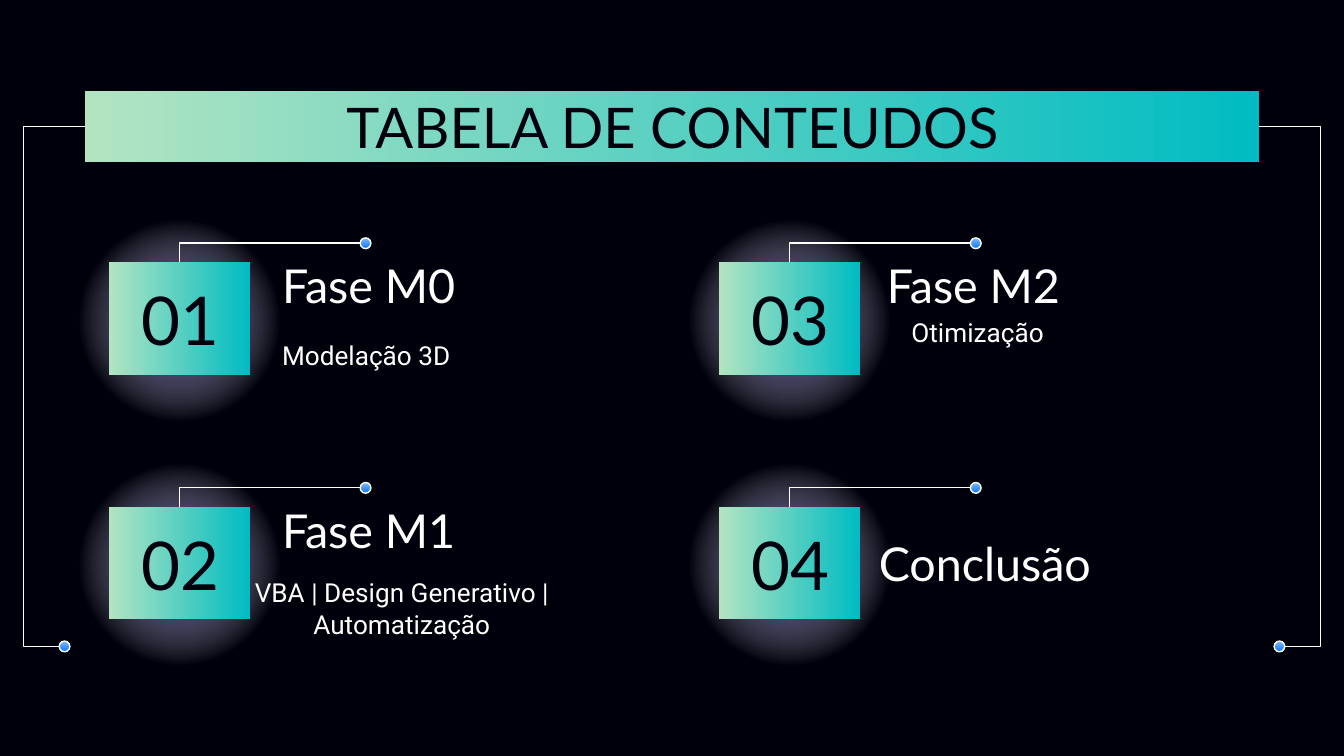
from pptx import Presentation
from pptx.dml.color import RGBColor
from pptx.enum.shapes import MSO_CONNECTOR as Connector, MSO_SHAPE as Shape
from pptx.enum.text import MSO_ANCHOR as Anchor, PP_ALIGN as Align
from pptx.oxml import parse_xml
from pptx.oxml.ns import nsdecls, qn
from pptx.util import Inches, Pt

WIDTH = 10
HEIGHT = WIDTH * 9 / 16
COLORS = {
    "night": "00000D", "white": "FFFFFF", "glow": "170F8D",
    "teal": "00BCC2", "mint": "B2E4C2", "sky": "82BCFE", "blue": "0C77F1",
}
HEADING, BODY = "Lato", "Roboto"

# Grid of numbered tiles: first corner, step and tile size
LEFT, TOP = 0.81, 1.95
COLUMN, ROW = 4.54, 1.82
TILE_W, TILE_H = 1.05, 0.84
DOT = 0.08

# Number, column, row, heading and its offset from the tile
TOPICS = [
    ("01", 0, 0, "Fase M0", (1.19, -0.12)),
    ("02", 0, 1, "Fase M1", (1.19, -0.12)),
    ("03", 1, 0, "Fase M2", (1.15, -0.12)),
    ("04", 1, 1, "Conclusão", (1.09, 0.13)),
]
# Column, row, text, offset and size of the box, alignment
DETAILS = [
    (0, 0, "Modelação 3D", (1.19, 0.43, 2.42, 0.53), Align.LEFT),
    (0, 1, "VBA | Design Generativo | Automatização",
     (0.97, 0.49, 2.42, 0.53), Align.CENTER),
    (1, 0, "Otimização", (1.21, 0.35, 1.43, 0.34), Align.CENTER),
]


def rgb(name):
    return RGBColor.from_string(COLORS[name])


def cell(column, row):
    return LEFT + column * COLUMN, TOP + row * ROW


def set_gradient(shape, stops, direction):
    """Fill with stops of (percent, colour, opacity percent)."""
    marks = "".join(
        f'<a:gs pos="{pos * 1000}"><a:srgbClr val="{COLORS[color]}">'
        f'<a:alpha val="{opacity * 1000}"/></a:srgbClr></a:gs>'
        for pos, color, opacity in stops)
    shape.fill.gradient()
    old = shape._element.spPr.find(qn("a:gradFill"))
    new = parse_xml(f'<a:gradFill {nsdecls("a")} rotWithShape="1">'
                    f'<a:gsLst>{marks}</a:gsLst>{direction}</a:gradFill>')
    old.getparent().replace(old, new)


def linear(angle):
    return f'<a:lin ang="{angle * 60000}" scaled="0"/>'


def add_shape(page, kind, box, stops, direction):
    shape = page.shapes.add_shape(kind, *map(Inches, box))
    shape.shadow.inherit = False
    shape.line.fill.background()
    set_gradient(shape, stops, direction)
    return shape


def add_bar(page, box):
    add_shape(page, Shape.RECTANGLE, box,
              [(0, "teal", 100), (100, "mint", 100)], linear(180))


def add_glow(page, box):
    center = ('<a:path path="circle">'
              '<a:fillToRect l="50000" t="50000" r="50000" b="50000"/></a:path>')
    add_shape(page, Shape.OVAL, box,
              [(0, "glow", 100), (61, "white", 0), (100, "white", 0)], center)


def add_dot(page, left, middle):
    dot = add_shape(page, Shape.OVAL, (left, middle - DOT / 2, DOT, DOT),
                    [(0, "sky", 100), (100, "blue", 100)], linear(90))
    dot.line.color.rgb = rgb("white")
    dot.line.width = Pt(0.75)


def add_elbow(page, start, end, bend=None):
    """One corner by default; with bend, two corners at that share of the width."""
    elbow = page.shapes.add_connector(
        Connector.ELBOW, *map(Inches, (*start, *end)))
    elbow.line.color.rgb = rgb("white")
    elbow.line.width = Pt(0.75)
    properties = elbow._element.spPr
    properties.append(parse_xml(f'<a:effectLst {nsdecls("a")}/>'))
    geometry = properties.find(qn("a:prstGeom"))
    if bend is None:
        geometry.set("prst", "bentConnector2")
    else:
        guide = parse_xml(f'<a:avLst {nsdecls("a")}><a:gd name="adj1" '
                          f'fmla="val {round(bend * 100000)}"/></a:avLst>')
        geometry.replace(geometry.find(qn("a:avLst")), guide)


def add_text(page, text, box, size, font=HEADING, color="white",
             align=Align.LEFT, anchor=Anchor.MIDDLE):
    frame = page.shapes.add_textbox(*map(Inches, box)).text_frame
    frame.word_wrap = True
    frame.vertical_anchor = anchor
    frame.margin_left = frame.margin_right = Inches(0.1)
    frame.margin_top = frame.margin_bottom = Inches(0.1)
    frame.text = text
    para = frame.paragraphs[0]
    para.alignment = align
    span = para.runs[0]
    span.font.size = Pt(size)
    span.font.name = font
    span.font.color.rgb = rgb(color)


def add_topic(page, number, column, row, heading, offset):
    left, top = cell(column, row)
    center = left + TILE_W / 2
    add_glow(page, (left - 0.36, top - 0.42, 1.77, 1.71))
    add_bar(page, (left, top, TILE_W, TILE_H))
    add_text(page, number, (left + 0.09, top + 0.13, 0.88, 0.58), 36,
             color="night", align=Align.CENTER)
    add_text(page, heading, (left + offset[0], top + offset[1], 2.69, 0.58), 25)
    # Line from the tile up to its dot
    add_dot(page, left + 1.87, top - 0.14)
    add_elbow(page, (left + 1.87, top - 0.14), (center, top))


def add_detail(page, column, row, text, box, align):
    left, top = cell(column, row)
    across, down, width, height = box
    add_text(page, text, (left + across, top + down, width, height), 14,
             font=BODY, align=align)


def add_frame(page):
    """Mirrored side lines that join the banner to the lower dots."""
    low, high = 4.81, 0.94
    add_dot(page, 0.44, low)
    add_elbow(page, (0.44, low), (0.63, high), bend=-1.39)
    add_dot(page, WIDTH - 0.44 - DOT, low)
    add_elbow(page, (WIDTH - 0.44, low), (WIDTH - 0.63, high), bend=-1.39)


def main():
    deck = Presentation()
    deck.slide_width, deck.slide_height = Inches(WIDTH), Inches(HEIGHT)
    page = deck.slides.add_slide(deck.slide_layouts[6])
    page.background.fill.solid()
    page.background.fill.fore_color.rgb = rgb("night")

    # Numbered topics
    for topic in TOPICS:
        add_topic(page, *topic)
    for detail in DETAILS:
        add_detail(page, *detail)

    # Banner with its frame and title
    add_bar(page, (0.63, 0.68, WIDTH - 2 * 0.63, 0.53))
    add_frame(page)
    add_text(page, "TABELA DE CONTEUDOS", (0.79, 0.59, 8.43, 0.63), 30,
             color="night", align=Align.CENTER, anchor=Anchor.TOP)

    deck.save("out.pptx")


if __name__ == "__main__":
    main()
